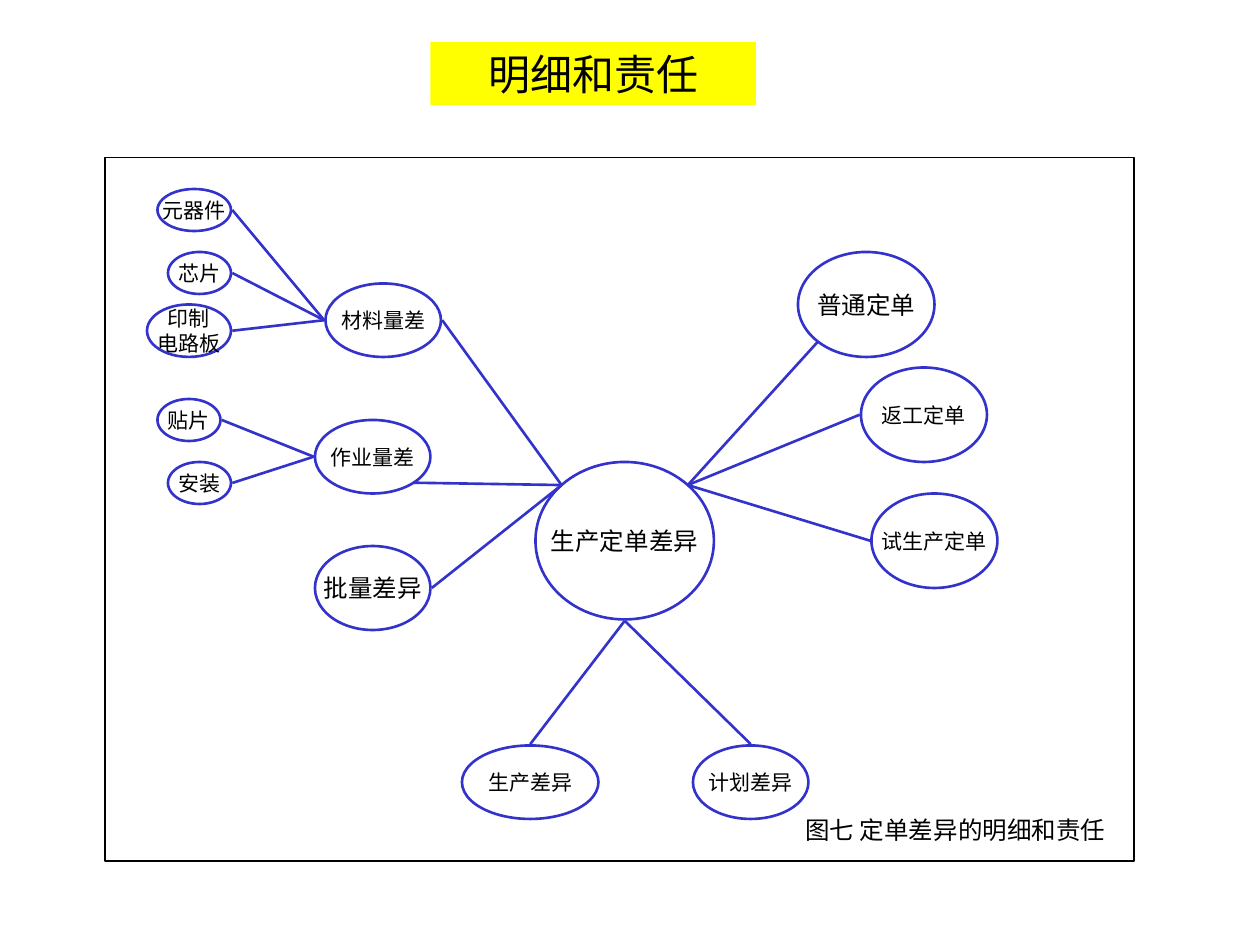
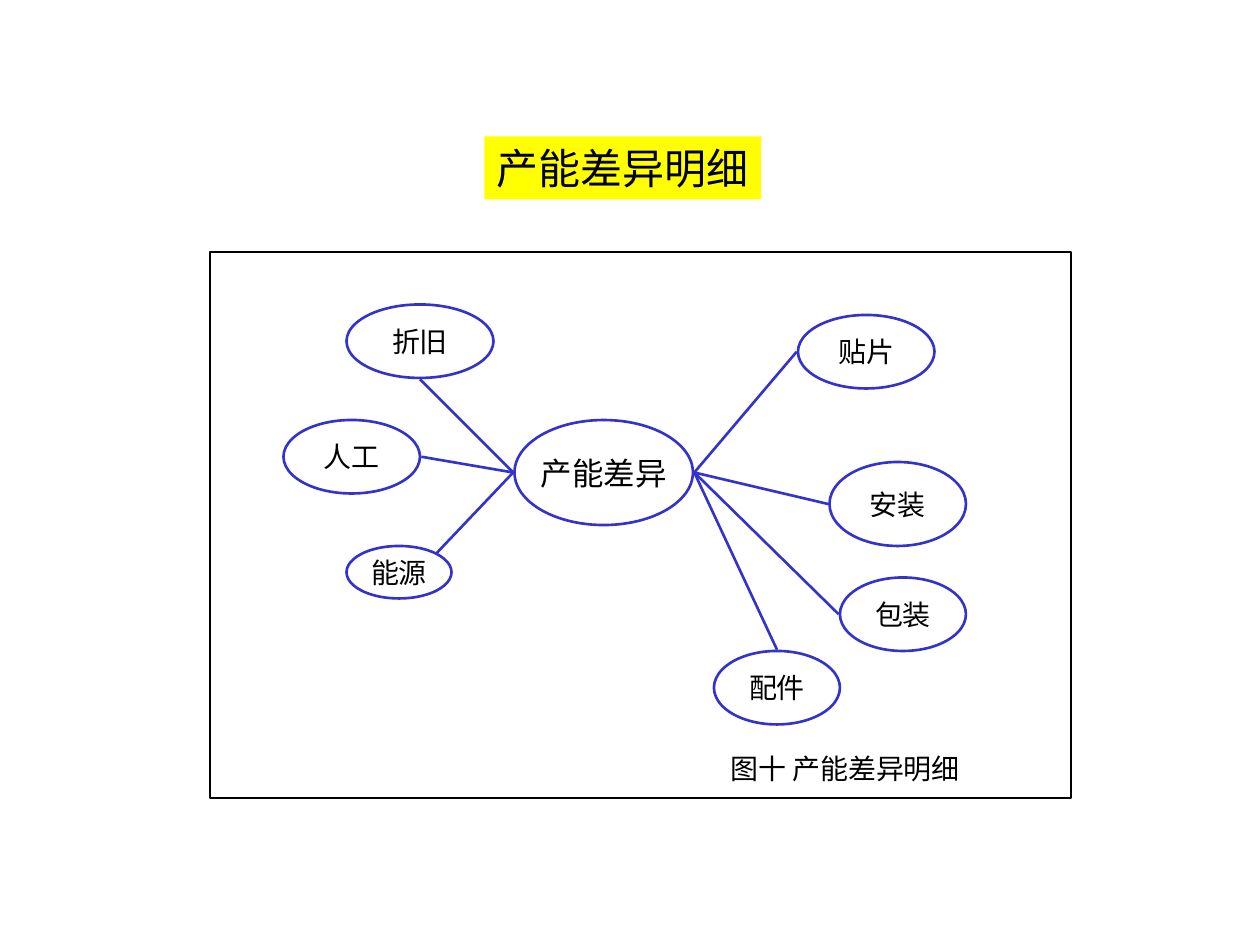
from math import sqrt

from lxml import etree
from pptx import Presentation
from pptx.dml.color import RGBColor
from pptx.enum.shapes import MSO_CONNECTOR, MSO_SHAPE
from pptx.enum.text import MSO_ANCHOR, PP_ALIGN
from pptx.oxml.ns import qn
from pptx.util import Pt

# Shared scale, colours and fonts
EMU_PER_PX = 9525
SLIDE_WIDTH, SLIDE_HEIGHT = 960, 720
BLACK = RGBColor(0x00, 0x00, 0x00)
WHITE = RGBColor(0xFF, 0xFF, 0xFF)
BLUE = RGBColor(0x33, 0x33, 0xCC)
YELLOW = RGBColor(0xFF, 0xFF, 0x00)
TITLE_FONT = "Noto Sans CJK SC"
BODY_FONT = "Times New Roman"

RECTANGLE, ELLIPSE = MSO_SHAPE.RECTANGLE, MSO_SHAPE.OVAL
STRAIGHT = MSO_CONNECTOR.STRAIGHT
CENTER = PP_ALIGN.CENTER
TOP, MIDDLE = MSO_ANCHOR.TOP, MSO_ANCHOR.MIDDLE

# Directions from an ellipse's centre to the points where links meet it
SIDES = {
    "top": (0, -1), "bottom": (0, 1), "left": (-1, 0), "right": (1, 0),
    "top left": (-1, -1), "top right": (1, -1),
    "bottom left": (-1, 1), "bottom right": (1, 1),
}
LINK_GAP = 1

# Each node: left, top, width, height, text size
ORDER_VARIANCE = {
    "title": ("明细和责任", (328, 32, 248, 48)),
    "frame": (80, 120, 784, 536),
    "caption": ("图七 定单差异的明细和责任", (600, 616, 256, 33), 14),
    "nodes": {
        "生产定单差异": (408, 352, 136, 120, 14),
        "普通定单": (608, 192, 104, 80, 14),
        "返工定单": (656, 280, 96, 72, 12),
        "试生产定单": (664, 376, 96, 72, 12),
        "材料量差": (248, 216, 88, 56, 12),
        "作业量差": (240, 320, 88, 56, 12),
        "批量差异": (240, 416, 88, 64, 14),
        "元器件": (120, 144, 56, 32, 12),
        "芯片": (128, 192, 48, 32, 12),
        "印制\n电路板": (112, 232, 64, 40, 12),
        "贴片": (120, 304, 48, 32, 12),
        "安装": (128, 352, 48, 32, 12),
        "生产差异": (352, 568, 104, 56, 12),
        "计划差异": (528, 568, 88, 56, 12),
    },
    # Hub, side of the hub, then the nodes it reaches with their sides
    "links": [
        ("生产定单差异", "top right",
         {"普通定单": "bottom left", "返工定单": "left", "试生产定单": "left"}),
        ("生产定单差异", "bottom", {"生产差异": "top", "计划差异": "top"}),
        ("生产定单差异", "top left",
         {"材料量差": "right", "作业量差": "bottom right", "批量差异": "right"}),
        ("材料量差", "left",
         {"元器件": "right", "芯片": "right", "印制\n电路板": "right"}),
        ("作业量差", "left", {"贴片": "right", "安装": "right"}),
    ],
}

CAPACITY_VARIANCE = {
    "title": ("产能差异明细", (369, 104, 211, 48)),
    "frame": (160, 192, 656, 416),
    "caption": ("图十 产能差异明细", (480, 568, 328, 36), 16),
    "nodes": {
        "产能差异": (392, 320, 136, 80, 18),
        "贴片": (608, 240, 104, 56, 16),
        "安装": (632, 352, 104, 64, 16),
        "包装": (640, 440, 96, 56, 16),
        "配件": (544, 496, 96, 56, 16),
        "折旧": (264, 232, 112, 56, 16),
        "人工": (216, 320, 104, 56, 16),
        "能源": (264, 416, 80, 40, 16),
    },
    "links": [
        ("产能差异", "right",
         {"贴片": "left", "安装": "left", "包装": "left", "配件": "top"}),
        ("产能差异", "left",
         {"折旧": "bottom", "人工": "right", "能源": "top right"}),
    ],
}


def px(*lengths):
    return [round(length * EMU_PER_PX) for length in lengths]


def set_text(shape, text, size, font=BODY_FONT, anchor=MIDDLE, wrap=False):
    frame = shape.text_frame
    frame.text = text
    frame.word_wrap = wrap
    frame.vertical_anchor = anchor
    font_format = {"size": Pt(size), "name": font}
    for paragraph in frame.paragraphs:
        paragraph.alignment = CENTER
        for attribute, value in font_format.items():
            setattr(paragraph.font, attribute, value)
        paragraph.font.color.rgb = BLACK


def add_box(slide, kind, box, fill, line=None, line_width=1):
    shape = slide.shapes.add_shape(kind, *px(*box))
    shape.shadow.inherit = False
    shape.fill.solid()
    shape.fill.fore_color.rgb = fill
    if line is None:
        shape.line.fill.background()
    else:
        shape.line.color.rgb = line
        shape.line.width = Pt(line_width)
    return shape


def add_node(slide, text, left, top, width, height, size):
    box = (left, top, width, height)
    set_text(add_box(slide, ELLIPSE, box, WHITE, BLUE, 1.5), text, size)


def link_point(node, side):
    """Point on the ellipse's edge; straight sides stand off by the gap."""
    left, top, width, height, _ = node
    across, down = SIDES[side]
    diagonal = across and down
    reach = 1 / sqrt(2) if diagonal else 1
    gap = 0 if diagonal else LINK_GAP
    return (left + width / 2 + across * (width / 2 * reach + gap),
            top + height / 2 + down * (height / 2 * reach + gap))


def add_link(slide, start, end):
    connector = slide.shapes.add_connector(STRAIGHT, *px(*start, *end))
    connector.line.color.rgb = BLUE
    connector.line.width = Pt(1.5)
    properties = connector._element.spPr
    etree.SubElement(properties, qn("a:effectLst"))


def add_title(slide, text, box):
    set_text(add_box(slide, RECTANGLE, box, YELLOW), text, 24, TITLE_FONT)


def add_caption(slide, text, box, size):
    caption = slide.shapes.add_textbox(*px(*box))
    set_text(caption, text, size, anchor=TOP, wrap=True)


def add_diagram(presentation, diagram):
    slide = presentation.slides.add_slide(presentation.slide_layouts[6])
    nodes = diagram["nodes"]
    # Frame and nodes
    add_box(slide, RECTANGLE, diagram["frame"], WHITE, BLACK)
    for text, node in nodes.items():
        add_node(slide, text, *node)
    # Links
    for hub, hub_side, targets in diagram["links"]:
        start = link_point(nodes[hub], hub_side)
        for target, side in targets.items():
            add_link(slide, start, link_point(nodes[target], side))
    # Title and caption
    add_title(slide, *diagram["title"])
    add_caption(slide, *diagram["caption"])


def main():
    presentation = Presentation()
    presentation.slide_width, presentation.slide_height = px(
        SLIDE_WIDTH, SLIDE_HEIGHT)
    for diagram in (ORDER_VARIANCE, CAPACITY_VARIANCE):
        add_diagram(presentation, diagram)
    presentation.save("out.pptx")


if __name__ == "__main__":
    main()
